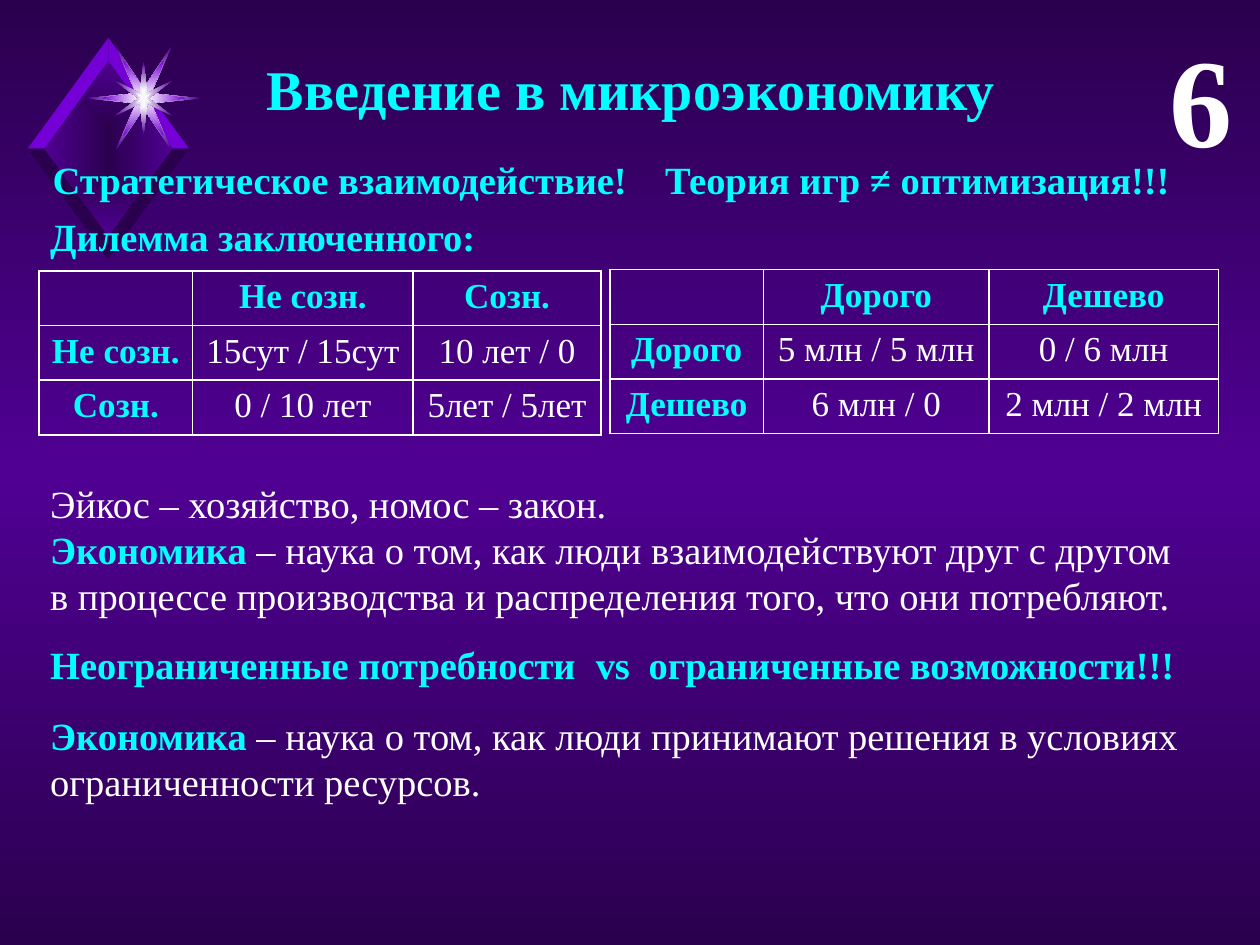
from lxml.etree import SubElement
from pptx import Presentation
from pptx.dml.color import RGBColor
from pptx.enum.text import MSO_ANCHOR, PP_ALIGN
from pptx.oxml.ns import qn
from pptx.util import Inches, Pt

COLORS = {
    "night": "2A004E",
    "violet": "500093",
    "purple": "7500D7",
    "cyan": "00FFFF",
    "white": "FFFFFF",
    "glint": "F9F9F9",
}
FONT = "Times New Roman"


def set_gradient(owner, fill, stops, angle=None):
    """Fill with a linear gradient, or one that spreads from the centre if no angle is given."""
    fill.gradient()
    gradient = owner.element.find(".//" + qn("a:gradFill"))
    for child in list(gradient):
        gradient.remove(child)
    stop_list = SubElement(gradient, qn("a:gsLst"))
    for position, color in stops:
        stop = SubElement(stop_list, qn("a:gs"), pos=str(position * 1000))
        SubElement(stop, qn("a:srgbClr"), val=COLORS[color])
    if angle is None:
        spread = SubElement(gradient, qn("a:path"), path="rect")
        SubElement(spread, qn("a:fillToRect"), l="50000", t="50000", r="50000", b="50000")
    else:
        SubElement(gradient, qn("a:lin"), ang=str(angle * 60000), scaled="0")


def add_span(para, text, size=22, color="white", bold=False):
    """Add a formatted run to a paragraph."""
    span = para.add_run()
    span.text = text
    span.font.name = FONT
    span.font.size = Pt(size)
    span.font.bold = bold
    span.font.color.rgb = RGBColor.from_string(COLORS[color])


def add_text(page, box, paragraphs, tabs=(), align=PP_ALIGN.LEFT, **style):
    """Add a text box; each paragraph is a list of (text, format) pairs."""
    shape = page.shapes.add_textbox(*map(Inches, box))
    frame = shape.text_frame
    frame.word_wrap = True
    for index, spans in enumerate(paragraphs):
        para = frame.add_paragraph() if index else frame.paragraphs[0]
        para.alignment = align
        if tabs:
            tab_list = SubElement(para._p.get_or_add_pPr(), qn("a:tabLst"))
            for tab in tabs:
                SubElement(tab_list, qn("a:tab"), pos=str(Inches(tab)), algn="l")
        for text, extra in spans:
            add_span(para, text, **{**style, **extra})
    return shape


def add_outline(page, center, points, color=None, stops=None):
    """Draw a closed outline from points measured from a centre."""
    corners = [(Inches(center[0] + x), Inches(center[1] + y)) for x, y in points]
    builder = page.shapes.build_freeform(*corners[0], scale=1.0)
    builder.add_line_segments(corners[1:], close=True)
    shape = builder.convert_to_shape()
    shape.shadow.inherit = False
    shape.line.fill.background()
    if stops:
        set_gradient(shape, shape.fill, stops)
    else:
        shape.fill.solid()
        shape.fill.fore_color.rgb = RGBColor.from_string(COLORS[color])


def mirror_quarter(quarter):
    """Complete a star from the points of its upper right quarter."""
    half = quarter + [(x, -y) for x, y in reversed(quarter) if y]
    return half + [(-x, y) for x, y in reversed(half) if x]


def add_emblem(page, box):
    """Draw the framed diamond and its sparkling star."""
    left, top, width, height = box
    center = (left + width / 2, top + height / 2)
    outer_x, outer_y = width / 2, height / 2
    inner_x, inner_y = outer_x - 0.13, outer_y - 0.18
    add_outline(page, center, [(0, -inner_y), (-inner_x, 0), (0, inner_y), (inner_x, 0)],
                stops=[(0, "night"), (100, "violet")])
    for vertical, color in ((-1, "purple"), (1, "night")):
        for side in (1, -1):
            band = [(0, inner_y), (0, outer_y), (outer_x, 0), (inner_x, 0)]
            add_outline(page, center, [(side * x, vertical * y) for x, y in band], color=color)

    star_center = (center[0] + 0.28, center[1] - 0.4)
    rays = [
        ("violet", [(0, -0.08), (0.22, -0.41), (0.06, -0.04), (0.45, 0)]),
        ("purple", [(0, -0.08), (0.16, -0.3), (0.06, -0.04), (0.33, 0)]),
        ("violet", [(0, -0.29), (0.03, -0.04), (0.23, -0.14), (0.04, 0)]),
    ]
    for color, quarter in rays:
        add_outline(page, star_center, mirror_quarter(quarter),
                    stops=[(0, "white"), (100, color)])
    core = [(0, -0.07), (0.01, -0.02), (0.06, -0.04), (0.02, 0)]
    add_outline(page, star_center, mirror_quarter(core), color="glint")


def add_title(page, box, text):
    """Place and format the title placeholder."""
    title = page.shapes.title
    title.left, title.top, title.width, title.height = map(Inches, box)
    title.text_frame.vertical_anchor = MSO_ANCHOR.TOP
    para = title.text_frame.paragraphs[0]
    para.alignment = PP_ALIGN.CENTER
    add_span(para, text, size=32, color="cyan", bold=True)


def add_borders(cell):
    """Give a cell thin white borders."""
    properties = cell._tc.get_or_add_tcPr()
    for side in ("lnL", "lnR", "lnT", "lnB"):
        line = SubElement(properties, qn(f"a:{side}"), w=str(Pt(1)))
        fill = SubElement(line, qn("a:solidFill"))
        SubElement(fill, qn("a:srgbClr"), val=COLORS["white"])


def add_payoffs(page, box, widths, strategies, payoffs):
    """Add a game matrix with the same strategies along both sides."""
    rows = [["", *strategies]] + [[name, *values] for name, values in zip(strategies, payoffs)]
    table = page.shapes.add_table(len(rows), len(widths), *map(Inches, box)).table
    table.first_row = table.horz_banding = False
    for column, width in zip(table.columns, widths):
        column.width = Inches(width)
    for row_index, values in enumerate(rows):
        for column_index, text in enumerate(values):
            cell = table.cell(row_index, column_index)
            add_borders(cell)
            cell.fill.background()
            if text:
                heading = row_index == 0 or column_index == 0
                para = cell.text_frame.paragraphs[0]
                para.alignment = PP_ALIGN.CENTER
                add_span(para, text, size=20, color="cyan" if heading else "white", bold=heading)


def add_definitions(page, box):
    """Add the definitions of economics and the thesis between them."""
    left, top, width, height = box
    accent = {"color": "cyan", "bold": True}
    term = ("Экономика ", accent)
    add_text(page, (left, top, width, 1.21), [
        [("Эйкос – хозяйство, номос – закон.", {})],
        [term, ("– наука о том, как люди взаимодействуют друг с другом "
                "в процессе производства и распределения того, что они потребляют.", {})],
    ])
    add_text(page, (left, top + 1.28, width, 0.47),
             [[("Неограниченные потребности\tvs\tограниченные возможности!!!", accent)]],
             tabs=(4.33, 4.75))
    add_text(page, (left, top + height - 0.84, width, 0.84), [
        [term, ("– наука о том, как люди принимают решения "
                "в условиях ограниченности ресурсов.", {})],
    ])


def main():
    """Build the slide and save it."""
    deck = Presentation()
    deck.slide_width, deck.slide_height = Inches(10), Inches(7.5)
    page = deck.slides.add_slide(deck.slide_layouts[5])
    set_gradient(page, page.background.fill,
                 [(0, "night"), (50, "violet"), (100, "night")], angle=90)
    add_emblem(page, (0.22, 0.3, 1.28, 1.76))
    add_title(page, (0.2, 0.38, 9.62, 0.64), "Введение в микроэкономику")
    add_text(page, (8.63, 0.12, 1.25, 1.31), [[("6", {})]],
             align=PP_ALIGN.RIGHT, size=72, bold=True)
    add_text(page, (0.32, 1.19, 9.28, 0.47),
             [[("Стратегическое взаимодействие!\tТеория игр ≠ оптимизация!!!", {})]],
             tabs=(4.86,), color="cyan", bold=True)
    dilemma = add_text(page, (0.3, 1.6, 3.68, 0.54), [[("Дилемма заключенного:", {})]],
                       color="cyan", bold=True)
    dilemma.text_frame.vertical_anchor = MSO_ANCHOR.MIDDLE
    add_payoffs(page, (0.31, 2.15, 4.45, 1.3), (1.22, 1.75, 1.49), ("Не созн.", "Созн."),
                [("15сут / 15сут", "10 лет / 0"), ("0 / 10 лет", "5лет / 5лет")])
    add_payoffs(page, (4.84, 2.14, 4.84, 1.3), (1.22, 1.79, 1.82), ("Дорого", "Дешево"),
                [("5 млн / 5 млн", "0 / 6 млн"), ("6 млн / 0", "2 млн / 2 млн")])
    add_definitions(page, (0.3, 3.76, 9.28, 2.68))
    deck.save("out.pptx")


if __name__ == "__main__":
    main()
